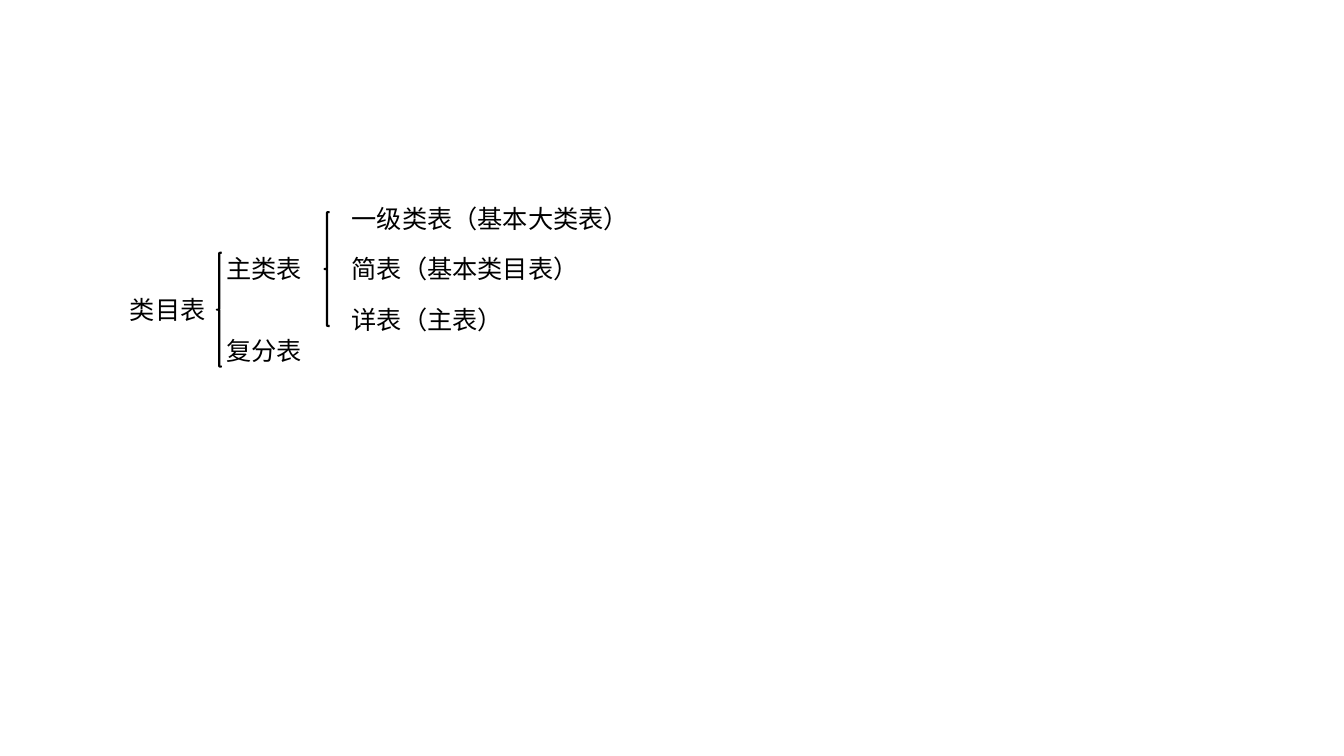
"""Builds a slide showing how a classification's category table divides."""
from dataclasses import dataclass

from pptx import Presentation
from pptx.dml.color import RGBColor
from pptx.enum.shapes import MSO_SHAPE as Preset
from pptx.enum.text import MSO_AUTO_SIZE as AutoSize
from pptx.slide import Slide
from pptx.util import Pt


@dataclass(frozen=True)
class Theme:
    ink: RGBColor = RGBColor(0, 0, 0)
    background: RGBColor = RGBColor(255, 255, 255)
    font: str = "Calibri"
    text_size: float = 18
    brace_line: float = 1.5


@dataclass(frozen=True)
class Term:
    wording: str
    width: float


@dataclass(frozen=True)
class Division:
    """Terms evenly spaced about the middle of the term they divide."""
    middle: float
    step: float
    left: float
    brace_left: float
    terms: tuple[Term, ...]


THEME = Theme()
TERM_HEIGHT = 29
BRACE_WIDTH, BRACE_HEIGHT = 3.6, 81.4
ROOT_MIDDLE, MAIN_MIDDLE = 221.2, 192.2
ROOT_LEFT = 85.7
ROOT = Term("类目表", 69.1)
DIVISIONS = (
    Division(ROOT_MIDDLE, 2 * (ROOT_MIDDLE - MAIN_MIDDLE), 154.8, 154.8,
             (Term("主类表", 69.1), Term("复分表", 69.1))),
    Division(MAIN_MIDDLE, 35.8, 244.1, 231.8,
             (Term("一级类表（基本大类表）", 214.6),
              Term("简表（基本类目表）", 177.8),
              Term("详表（主表）", 123.8))),
)


def draw_term(slide: Slide, term: Term, left: float, middle: float) -> None:
    """Write one term, centred vertically on the given height."""
    label = slide.shapes.add_textbox(
        Pt(left), Pt(middle - TERM_HEIGHT / 2), Pt(term.width), Pt(TERM_HEIGHT))
    frame = label.text_frame
    frame.text = term.wording
    frame.word_wrap = False
    frame.auto_size = AutoSize.SHAPE_TO_FIT_TEXT
    font = frame.paragraphs[0].runs[0].font
    font.name = THEME.font
    font.size = Pt(THEME.text_size)
    font.color.rgb = THEME.ink


def draw_brace(slide: Slide, left: float, middle: float) -> None:
    """Draw the brace that opens a division."""
    brace = slide.shapes.add_shape(
        Preset.LEFT_BRACE, Pt(left), Pt(middle - BRACE_HEIGHT / 2),
        Pt(BRACE_WIDTH), Pt(BRACE_HEIGHT))
    brace.shadow.inherit = False
    brace.fill.background()
    brace.line.color.rgb = THEME.ink
    brace.line.width = Pt(THEME.brace_line)


def draw_division(slide: Slide, division: Division) -> None:
    """Draw a division's terms and its brace."""
    first = division.middle - division.step * (len(division.terms) - 1) / 2
    for row, term in enumerate(division.terms):
        draw_term(slide, term, division.left, first + row * division.step)
    draw_brace(slide, division.brace_left, division.middle)


def main() -> None:
    """Build and save the presentation."""
    deck = Presentation()
    deck.slide_width, deck.slide_height = Pt(960), Pt(540)
    slide = deck.slides.add_slide(deck.slide_layouts[6])
    slide.background.fill.solid()
    slide.background.fill.fore_color.rgb = THEME.background
    draw_term(slide, ROOT, ROOT_LEFT, ROOT_MIDDLE)
    for division in DIVISIONS:
        draw_division(slide, division)
    deck.save("out.pptx")


main()
